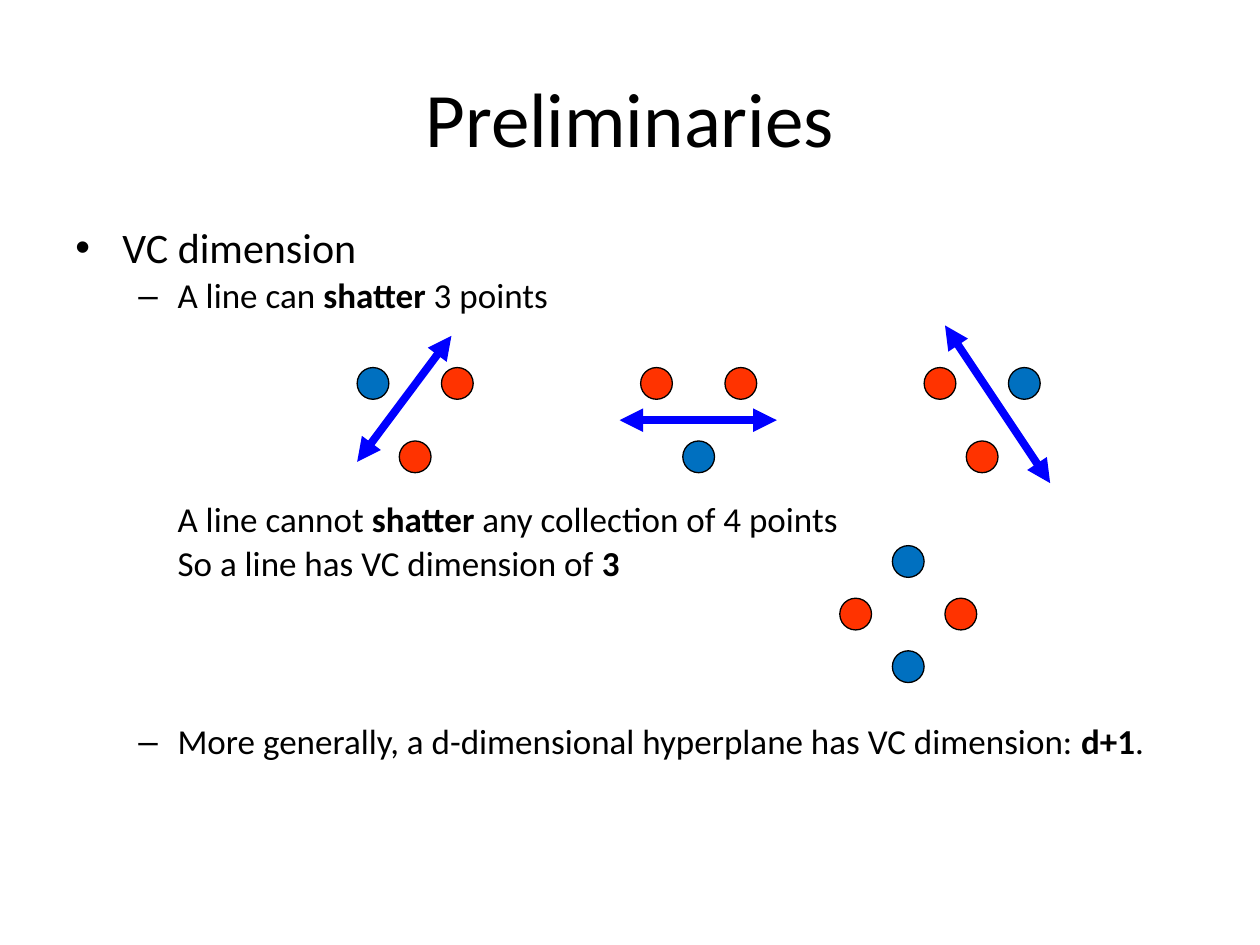
from lxml import etree
from pptx import Presentation
from pptx.dml.color import RGBColor
from pptx.enum.shapes import MSO_CONNECTOR, MSO_SHAPE
from pptx.enum.text import MSO_ANCHOR, PP_ALIGN
from pptx.oxml.ns import qn
from pptx.util import Cm, Pt

OVAL = MSO_SHAPE.OVAL
LINE = MSO_CONNECTOR.STRAIGHT
MIDDLE = MSO_ANCHOR.MIDDLE
CENTER = PP_ALIGN.CENTER

FONT = "Calibri"
HUES = {"black": "000000", "red": "FF3300", "blue": "0070C0", "arrow": "0000FF"}
COLORS = {name: RGBColor.from_string(code) for name, code in HUES.items()}
DOT = 0.64

deck = Presentation()
deck.slide_width, deck.slide_height = Cm(25.4), Cm(19.05)
slide = deck.slides.add_slide(deck.slide_layouts[6])
shapes = slide.shapes


def add_runs(para, parts, size):
    """Fill a paragraph with parts, every second one bold."""
    for i, part in enumerate(parts):
        run = para.add_run()
        run.text = part
        run.font.name = FONT
        run.font.size = Pt(size)
        run.font.bold = i % 2 == 1
        run.font.color.rgb = COLORS["black"]


def add_dot(left, top, hue):
    """Draw one outlined point."""
    dot = shapes.add_shape(OVAL, Cm(left), Cm(top), Cm(DOT), Cm(DOT))
    dot.shadow.inherit = False
    dot.fill.solid()
    dot.fill.fore_color.rgb = COLORS[hue]
    dot.line.color.rgb = COLORS["black"]
    dot.line.width = Pt(0.75)


# Title
title = shapes.add_textbox(Cm(1.27), Cm(0.76), Cm(22.86), Cm(3.18)).text_frame
title.word_wrap = True
title.vertical_anchor = MIDDLE
title.paragraphs[0].alignment = CENTER
add_runs(title.paragraphs[0], ["Preliminaries"], 44)

# Body: bullet, left margin, hanging indent, space before, size, parts
rows = [
    ("•", 0.95, 0.95, 4.8, 24, ["VC dimension"]),
    ("–", 2.06, 0.79, 3.6, 20, ["A line can ", "shatter", " 3 points"]),
    (None, 2.06, 0, 106, 20,
     ["A line cannot ", "shatter", " any collection of 4 points"]),
    (None, 2.06, 0, 3.6, 20, ["So a line has VC dimension of ", "3"]),
    ("–", 2.06, 0.79, 80.4, 20,
     ["More generally, a d-dimensional hyperplane has VC dimension: ",
      "d+1", "."]),
]
body = shapes.add_textbox(Cm(1.27), Cm(4.45), Cm(22.86), Cm(12.57)).text_frame
body.word_wrap = True
for i, (mark, margin, hang, gap, size, parts) in enumerate(rows):
    para = body.add_paragraph() if i else body.paragraphs[0]
    para.line_spacing = 0.9
    para.space_before = Pt(gap)
    add_runs(para, parts, size)
    props = para._p.get_or_add_pPr()
    props.set("marL", str(Cm(margin)))
    props.set("indent", str(-Cm(hang)))
    if mark:
        etree.SubElement(props, qn("a:buFont")).set("typeface", "Arial")
        etree.SubElement(props, qn("a:buChar")).set("char", mark)
    else:
        etree.SubElement(props, qn("a:buNone"))

# Three triads, each with another point cut off
spots = [(0, 7.41), (1.7, 7.41), (0.85, 8.89)]
for i, lone in enumerate([0, 2, 1]):
    for j, (shift, top) in enumerate(spots):
        add_dot(7.2 + 5.715 * i + shift, top, "blue" if j == lone else "red")

# Four points in a diamond
for across, down, hue in [(-1, 0, "red"), (0, -1, "blue"),
                          (1, 0, "red"), (0, 1, "blue")]:
    add_dot(17.99 + 1.06 * across, 12.06 + 1.06 * down, hue)

# Separating lines
for ends in [(7.2, 9.31, 9.1, 6.77), (12.49, 8.47, 15.66, 8.47),
             (21.17, 9.74, 19.05, 6.56)]:
    arrow = shapes.add_connector(LINE, *[Cm(end) for end in ends])
    arrow.line.color.rgb = COLORS["arrow"]
    arrow.line.width = Pt(4.5)
    stroke = arrow.line._get_or_add_ln()
    for tip in ("a:headEnd", "a:tailEnd"):
        etree.SubElement(stroke, qn(tip)).set("type", "triangle")
    etree.SubElement(arrow._element.spPr, qn("a:effectLst"))

deck.save("out.pptx")
